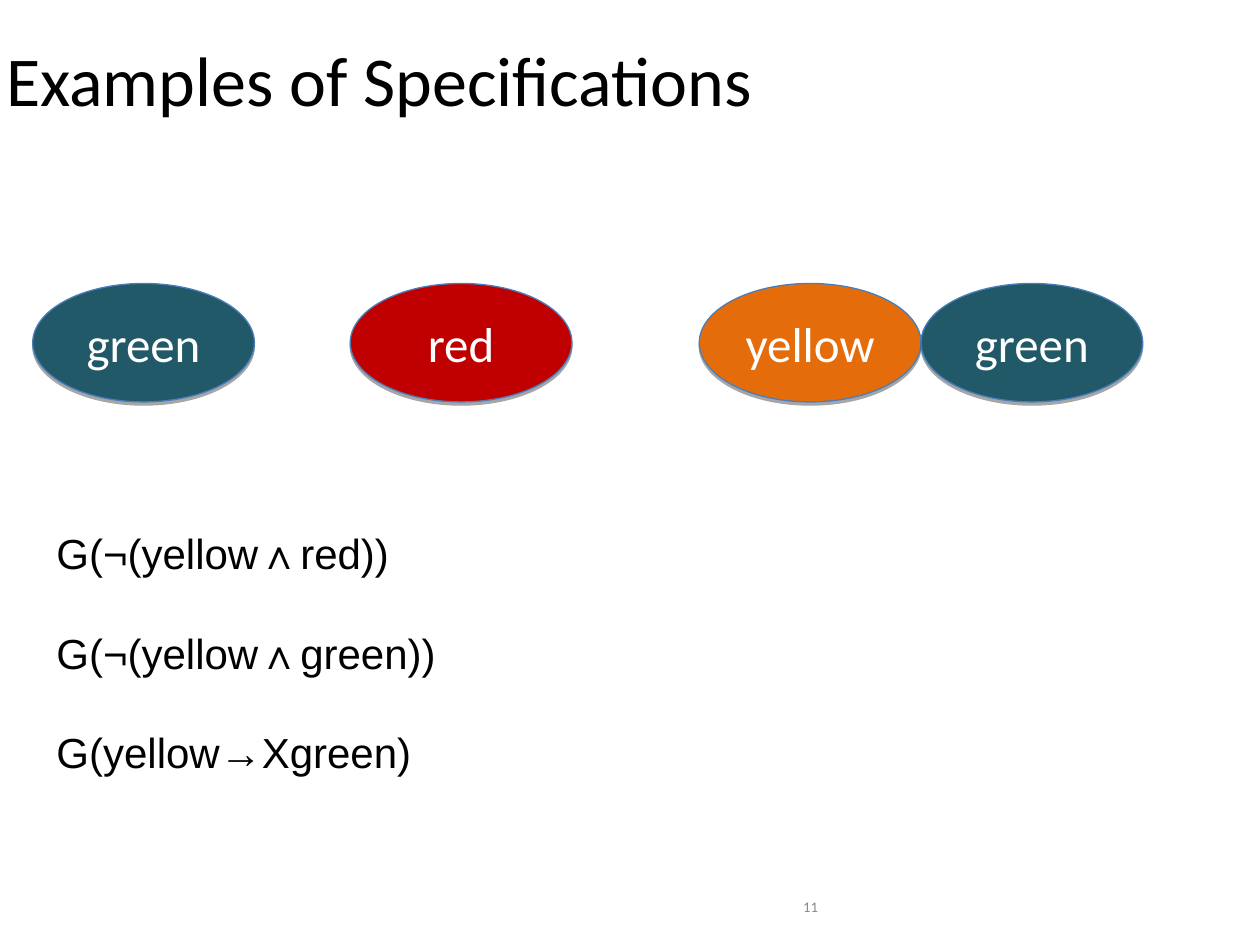
from lxml import etree
from pptx import Presentation
from pptx import util as u
from pptx.dml.color import RGBColor
from pptx.enum import shapes, text
from pptx.oxml import ns

BLACK = RGBColor(0x00, 0x00, 0x00)
WHITE = RGBColor(0xFF, 0xFF, 0xFF)
GREY = RGBColor(0x89, 0x89, 0x89)
BLUE = RGBColor(0x4A, 0x7E, 0xBB)
GREEN = RGBColor(0x21, 0x59, 0x68)
RED = RGBColor(0xC0, 0x00, 0x00)
ORANGE = RGBColor(0xE4, 0x6C, 0x0A)

LEFT, CENTER, RIGHT = text.PP_ALIGN.LEFT, text.PP_ALIGN.CENTER, text.PP_ALIGN.RIGHT
TOP, MIDDLE = text.MSO_ANCHOR.TOP, text.MSO_ANCHOR.MIDDLE


class Deck:
    head = "Calibri"
    body = "Arial"

    def __init__(self, wide, high):
        self.prs = Presentation()
        self.prs.slide_width = u.Inches(wide)
        self.prs.slide_height = u.Inches(high)
        self.slide = self.prs.slides.add_slide(self.prs.slide_layouts[6])

    def fill_text(self, frame, words, size, color, font, align=LEFT, anchor=MIDDLE):
        frame.word_wrap = True
        frame.vertical_anchor = anchor
        frame.text = words
        for para in frame.paragraphs:
            para.alignment = align
            for run in para.runs:
                run.font.size = u.Pt(size)
                run.font.name = font
                run.font.color.rgb = color

    def label(self, words, box, size, color, font, **style):
        frame = self.slide.shapes.add_textbox(*map(u.Inches, box)).text_frame
        self.fill_text(frame, words, size, color, font, **style)
        return frame

    def light(self, words, left, fill):
        """Draw one oval traffic-light state."""
        box = map(u.Inches, (left, 2.25, 1.76, 0.94))
        oval = self.slide.shapes.add_shape(shapes.MSO_SHAPE.OVAL, *box)
        oval.fill.solid()
        oval.fill.fore_color.rgb = fill
        oval.line.color.rgb = BLUE
        oval.line.width = u.Pt(0.75)
        self.shade(oval)
        self.fill_text(oval.text_frame, words, 28, WHITE, self.head, align=CENTER)

    def shade(self, shape):
        """Give the shape a hard shadow straight below it."""
        shape.shadow.inherit = False
        glow = shape.element.spPr.find(ns.qn("a:effectLst"))
        drop = etree.SubElement(glow, ns.qn("a:outerShdw"), blurRad="0",
                                dist=str(u.Pt(1.8)), dir="5400000", rotWithShape="0")
        tint = etree.SubElement(drop, ns.qn("a:srgbClr"), val="000000")
        etree.SubElement(tint, ns.qn("a:alpha"), val="35000")


def main():
    deck = Deck(10, 7.5)

    page = deck.label("11", (3.42, 6.95, 3.17, 0.4), 8.4, GREY, deck.head, align=RIGHT)
    page.margin_top = u.Inches(0.16)
    page.paragraphs[0].line_spacing = 0.8

    title = deck.label("Examples of Specifications", (0, 0, 9.51, 1.25), 40, BLACK, deck.head)
    title.margin_left = u.Inches(0.05)

    for words, left, fill in (
        ("yellow", 5.55, ORANGE),
        ("green", 0.26, GREEN),
        ("red", 2.78, RED),
        ("green", 7.31, GREEN),
    ):
        deck.light(words, left, fill)

    rules = ("G(¬(yellow∧red))", "G(¬(yellow∧green))", "G(yellow→Xgreen)")
    frame = deck.label("\n".join(rules), (0.35, 4.14, 5.2, 2.5), 24, BLACK, deck.body, anchor=TOP)
    for para in frame.paragraphs[1:]:
        para.space_before = u.Pt(28)

    deck.prs.save("out.pptx")


if __name__ == "__main__":
    main()
